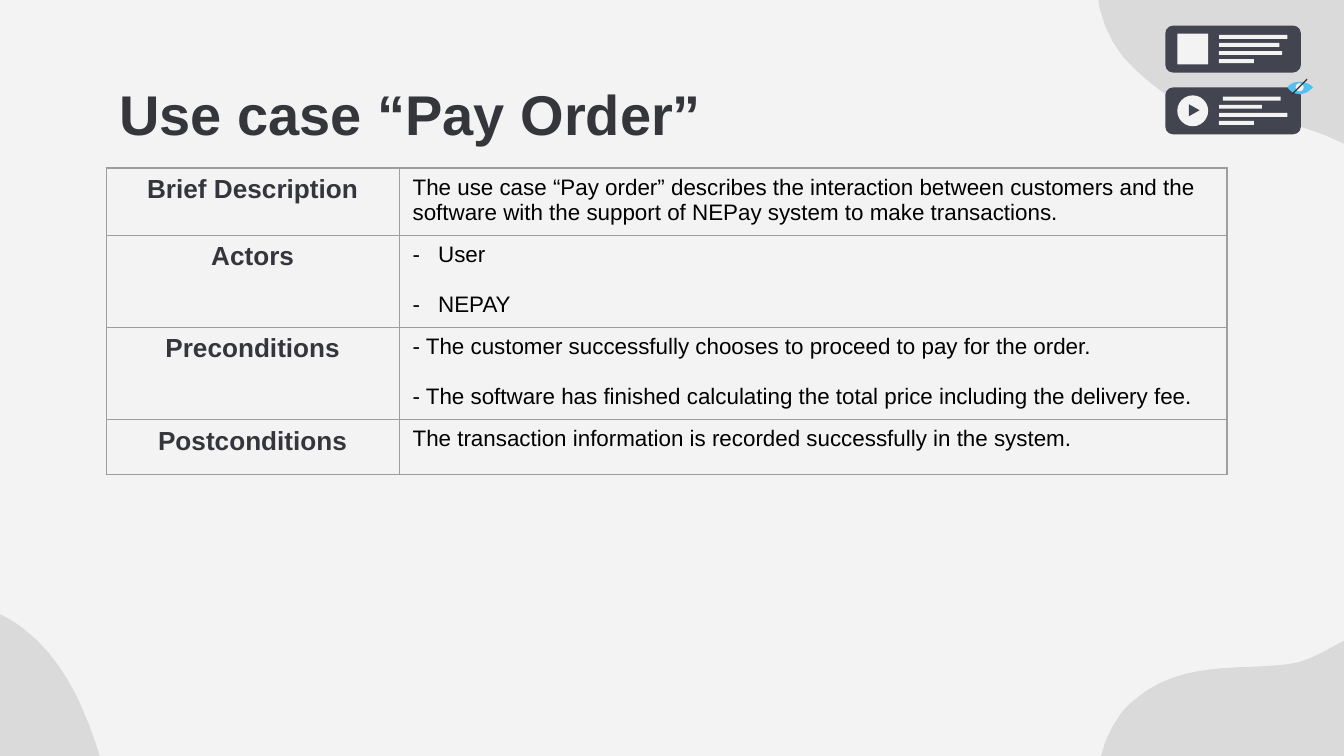
from lxml import etree
from pptx import Presentation
from pptx.dml.color import RGBColor
from pptx.enum.shapes import MSO_SHAPE
from pptx.enum.text import PP_ALIGN
from pptx.oxml import parse_xml
from pptx.oxml.ns import nsdecls, qn
from pptx.util import Inches, Pt

DARK, PANEL, LIGHT, BLACK = "35363B", "42444F", "F3F3F3", "000000"
BLUE, BORDER = "55C0ED", "9E9E9E"

BOTTOM_RIGHT = (8.32, 5.34), [
    (8.35, 5.29, 8.4, 5.24, 8.45, 5.2), (8.79, 4.91, 9.23, 4.99, 9.6, 4.94),
    (9.79, 4.91, 9.94, 4.78, 10.11, 4.72), (10.68, 4.51, 11.31, 5.02, 11.36, 5.5),
    (11.38, 5.76, 11.32, 5.99, 11.16, 6.2), (11.06, 6.34, 10.92, 6.48, 10.75, 6.61),
    (10.29, 6.94, 9.99, 7.2, 9.34, 7.16), (8.7, 7.12, 8.28, 6.48, 8.17, 5.92),
    (8.17, 5.92, 8.13, 5.61, 8.32, 5.34)]
BOTTOM_LEFT = (-0.31, 4.47), [
    (-0.16, 4.5, 0.03, 4.56, 0.19, 4.69), (0.58, 5, 0.71, 5.51, 0.83, 5.92),
    (0.96, 6.34, 0.79, 6.71, 0.44, 6.84), (0.36, 6.87, 0.28, 6.87, 0.21, 6.86),
    (-0.01, 6.83, -0.19, 6.65, -0.53, 6.59), (-0.58, 6.58, -0.78, 6.55, -0.83, 6.54),
    (-1.06, 6.5, -1.19, 6.47, -1.44, 6.24), (-1.77, 5.93, -1.74, 5.32, -1.38, 4.92),
    (-1.02, 4.53, -0.64, 4.47, -0.64, 4.47), (-0.64, 4.47, -0.5, 4.44, -0.31, 4.47)]
TOP_RIGHT = (9.74, -1.59), [
    (9.92, -1.57, 10.13, -1.5, 10.34, -1.35), (10.79, -0.99, 10.97, -0.39, 11.12, 0.09),
    (11.28, 0.58, 11.09, 1.03, 10.68, 1.19), (10.58, 1.23, 10.49, 1.23, 10.4, 1.22),
    (10.15, 1.19, 9.93, 0.98, 9.53, 0.91), (9.46, 0.9, 9.23, 0.87, 9.17, 0.86),
    (8.9, 0.83, 8.74, 0.79, 8.45, 0.52), (8.04, 0.16, 8.06, -0.56, 8.48, -1.04),
    (8.9, -1.51, 9.35, -1.59, 9.35, -1.59), (9.35, -1.59, 9.51, -1.62, 9.74, -1.59)]
EYE = (0.09, 0.09), [
    (0.13, 0.09, 0.16, 0.07, 0.19, 0.04), (0.16, 0.01, 0.13, 0, 0.09, 0),
    (0.05, 0, 0.02, 0.01, 0, 0.04), (0.02, 0.07, 0.05, 0.09, 0.09, 0.09)]

ROWS = [
    ("Brief Description", False, [
        "The use case “Pay order” describes the interaction between customers and the "
        "software with the support of NEPay system to make transactions."]),
    ("Actors", True, ["User", "NEPAY"]),
    ("Preconditions", False, [
        "- The customer successfully chooses to proceed to pay for the order.",
        "- The software has finished calculating the total price including the delivery fee."]),
    ("Postconditions", False, [
        "The transaction information is recorded successfully in the system."]),
]


def color(value):
    """Return the colour for a hex string."""
    return RGBColor.from_string(value)


def paint(shape, fill):
    """Give a shape a flat fill without line or shadow."""
    shape.shadow.inherit = False
    shape.fill.solid()
    shape.fill.fore_color.rgb = color(fill)
    shape.line.fill.background()
    return shape


def set_font(font, size, value, bold=False):
    """Set typeface, size, weight and colour of a font."""
    font.name, font.size, font.bold = "Arial", Pt(size), bold
    font.color.rgb = color(value)


def add_curve(slide, outline, fill, left=0, top=0, steps=12):
    """Draw a closed outline of cubic curves from the given corner."""
    (x, y), curves = outline
    points = [(Inches(left + x), Inches(top + y))]
    for x1, y1, x2, y2, x3, y3 in curves:
        for step in range(1, steps + 1):
            t = step / steps
            a, b, c, d = (1 - t) ** 3, 3 * t * (1 - t) ** 2, 3 * t * t * (1 - t), t ** 3
            points.append((Inches(left + a * x + b * x1 + c * x2 + d * x3),
                           Inches(top + a * y + b * y1 + c * y2 + d * y3)))
        x, y = x3, y3
    builder = slide.shapes.build_freeform(*points[0])
    builder.add_line_segments(points[1:], close=True)
    return paint(builder.convert_to_shape(), fill)


def add_blob(slide, outline):
    """Draw a faint background blob."""
    shape = add_curve(slide, outline, BLACK)
    fill = shape.fill._xPr.find(qn("a:solidFill"))
    etree.SubElement(fill[0], qn("a:alpha"), val="10000")


def add_part(slide, kind, left, top, width, height, fill):
    """Draw one preset shape of the icon."""
    box = [Inches(length) for length in (left, top, width, height)]
    return paint(slide.shapes.add_shape(kind, *box), fill)


def add_card(slide, left, top, thumbnail, lines):
    """Draw a dark card with a thumbnail and text lines."""
    card = add_part(slide, MSO_SHAPE.ROUNDED_RECTANGLE, left, top, 1.01, 0.35, PANEL)
    card.adjustments[0] = 0.17
    add_part(slide, thumbnail, left + 0.09, top + 0.06, 0.23, 0.23, LIGHT)
    for index, (offset, width) in enumerate(lines):
        add_part(slide, MSO_SHAPE.RECTANGLE, left + offset,
                 top + 0.07 + 0.06 * index, width, 0.03, LIGHT)


def add_icon(slide, left, top):
    """Draw two media cards with a crossed eye."""
    add_card(slide, left, top, MSO_SHAPE.RECTANGLE,
             [(0.4, 0.51), (0.4, 0.45), (0.4, 0.47), (0.4, 0.26)])
    add_card(slide, left, top + 0.46, MSO_SHAPE.OVAL,
             [(0.43, 0.43), (0.4, 0.32), (0.4, 0.51), (0.4, 0.26)])
    play = add_part(slide, MSO_SHAPE.ISOSCELES_TRIANGLE, left + 0.17, top + 0.59, 0.09, 0.08, PANEL)
    play.rotation = 90
    add_curve(slide, EYE, BLUE, left + 0.91, top + 0.42)
    add_part(slide, MSO_SHAPE.OVAL, left + 0.97, top + 0.43, 0.06, 0.06, LIGHT)
    slash = add_part(slide, MSO_SHAPE.RECTANGLE, left + 0.92, top + 0.45, 0.16, 0.01, DARK)
    slash.rotation = 315


def add_title(slide, left, top, width, height):
    """Write the slide title."""
    box = slide.shapes.add_textbox(Inches(left), Inches(top), Inches(width), Inches(height))
    frame = box.text_frame
    frame.word_wrap = True
    frame.margin_left = frame.margin_right = frame.margin_top = frame.margin_bottom = Inches(0.1)
    frame.text = "Use case “Pay Order”"
    set_font(frame.paragraphs[0].font, 30, DARK, True)


def style_cell(cell):
    """Clear the cell fill and draw its four borders."""
    cell.fill.background()
    properties = cell._tc.get_or_add_tcPr()
    for index, side in enumerate("LRTB"):
        properties.insert(index, parse_xml(
            f'<a:ln{side} {nsdecls("a")} w="{Pt(0.75)}"><a:solidFill>'
            f'<a:srgbClr val="{BORDER}"/></a:solidFill></a:ln{side}>'))


def add_dash(paragraph):
    """Give a paragraph a hanging dash bullet."""
    properties = paragraph._p.get_or_add_pPr()
    properties.set("marL", str(Inches(0.19)))
    properties.set("indent", str(-Inches(0.19)))
    bullet_color = etree.SubElement(properties, qn("a:buClr"))
    etree.SubElement(bullet_color, qn("a:srgbClr"), val=BLACK)
    etree.SubElement(properties, qn("a:buSzPts"), val="1200")
    etree.SubElement(properties, qn("a:buFont"), typeface="Arial")
    etree.SubElement(properties, qn("a:buChar"), char="-")


def add_use_case_table(slide, left, top, widths, row_height):
    """Build the table of use case details."""
    frame = slide.shapes.add_table(len(ROWS), len(widths), Inches(left), Inches(top),
                                   Inches(sum(widths)), Inches(row_height * len(ROWS)))
    table = frame.table
    table.first_row = table.horz_banding = False
    for column, width in zip(table.columns, widths):
        column.width = Inches(width)
    for row, (label, dashed, details) in zip(table.rows, ROWS):
        row.height = Inches(row_height)
        heading, body = row.cells
        heading.text = label
        title = heading.text_frame.paragraphs[0]
        title.alignment = PP_ALIGN.CENTER
        set_font(title.runs[0].font, 14, DARK, True)
        body.text = "\n".join(details)
        for index, paragraph in enumerate(body.text_frame.paragraphs):
            if index:
                paragraph.space_before = Pt(13.4)
            if dashed:
                add_dash(paragraph)
            set_font(paragraph.runs[0].font, 12, BLACK)
        for cell in row.cells:
            style_cell(cell)


def main():
    """Build and save the presentation."""
    presentation = Presentation()
    presentation.slide_width, presentation.slide_height = Inches(10), Inches(10 * 9 / 16)
    slide = presentation.slides.add_slide(presentation.slide_layouts[6])
    slide.background.fill.solid()
    slide.background.fill.fore_color.rgb = color(LIGHT)
    for outline in (BOTTOM_RIGHT, BOTTOM_LEFT, TOP_RIGHT):
        add_blob(slide, outline)
    add_icon(slide, 8.67, 0.19)
    add_title(slide, 0.79, 0.49, 8.43, 0.63)
    add_use_case_table(slide, 0.79, 1.25, [2.18, 6.16], 0.41)
    presentation.save("out.pptx")


if __name__ == "__main__":
    main()
